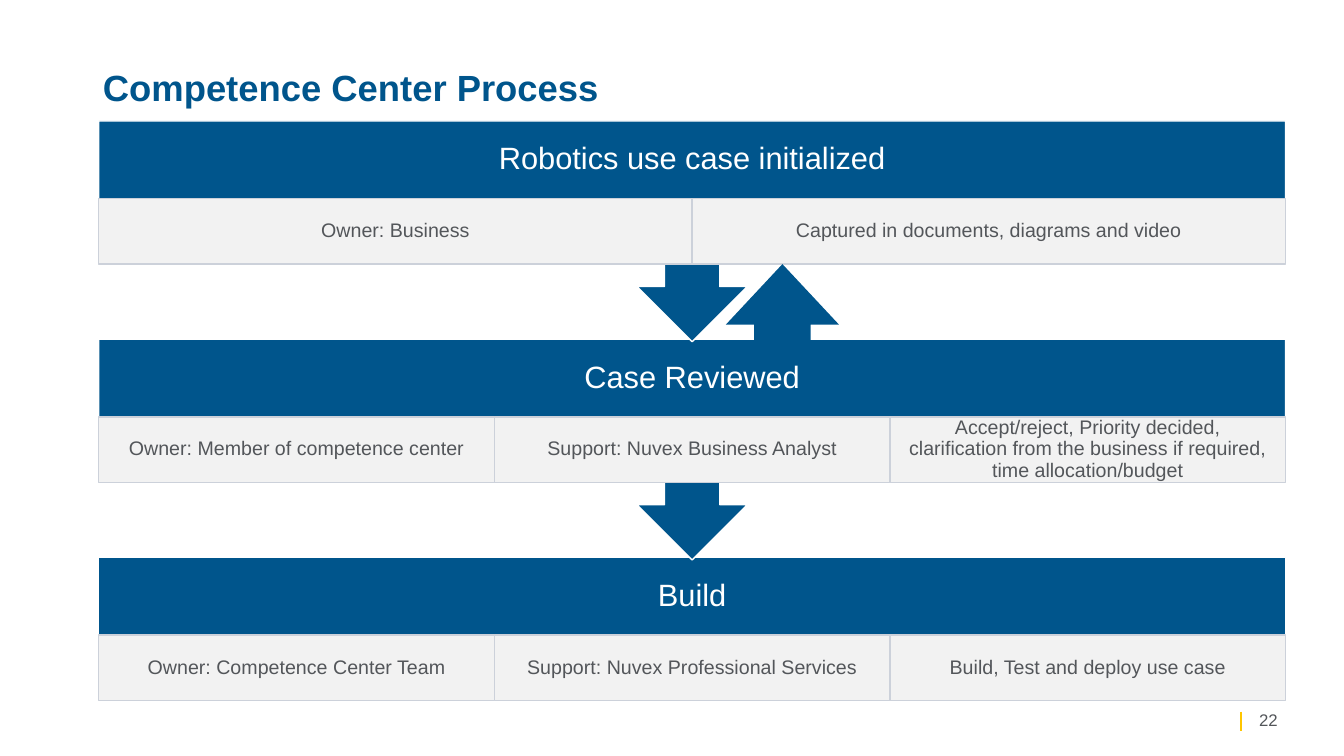
from pptx import Presentation
from pptx.dml.color import RGBColor
from pptx.enum.shapes import MSO_CONNECTOR, MSO_SHAPE
from pptx.enum.text import MSO_ANCHOR, PP_ALIGN
from pptx.oxml.ns import qn
from pptx.util import Inches, Pt
from lxml import etree

BLUE, GRAY, PALE, BORDER = "00558C", "53565A", "F2F2F2", "CCD1DA"
WHITE, YELLOW = "FFFFFF", "FFC600"

LEFT, WIDTH = 0.98, 11.77
FIRST_TOP, STAGE_STEP = 1.2, 2.165
HEADER_HEIGHT, DETAIL_HEIGHT = 0.77, 0.65
BODY_HEIGHT, CALLOUT_HEIGHT = 1.42, 2.19

STAGES = [
    ("Robotics use case initialized",
     ["Owner: Business", "Captured in documents, diagrams and video"]),
    ("Case Reviewed",
     ["Owner: Member of competence center",
      "Support: Nuvex Business Analyst",
      "Accept/reject, Priority decided,\n"
      "clarification from the business if required, time allocation/budget"]),
    ("Build",
     ["Owner: Competence Center Team",
      "Support: Nuvex Professional Services",
      "Build, Test and deploy use case"]),
]


def color(value):
    return RGBColor.from_string(value)


def write(frame, text, size, ink, align=PP_ALIGN.LEFT, anchor=MSO_ANCHOR.MIDDLE,
          insets=(0.1, 0.05, 0.1, 0.05), bold=False):
    """Fill a text frame with one paragraph; a newline becomes a line break."""
    frame.word_wrap = True
    frame.vertical_anchor = anchor
    (frame.margin_left, frame.margin_top,
     frame.margin_right, frame.margin_bottom) = map(Inches, insets)
    para = frame.paragraphs[0]
    para.alignment = align
    para.line_spacing = 0.9
    for index, line in enumerate(text.split("\n")):
        if index:
            para.add_line_break()
        span = para.add_run()
        span.text = line
        span.font.name = "Arial"
        span.font.size = Pt(size)
        span.font.bold = bold
        span.font.color.rgb = color(ink)


def add_block(slide, kind, left, top, width, height, fill, line=None):
    block = slide.shapes.add_shape(
        kind, Inches(left), Inches(top), Inches(width), Inches(height))
    block.shadow.inherit = False
    block.fill.solid()
    block.fill.fore_color.rgb = color(fill)
    if line:
        block.line.color.rgb = color(line)
        block.line.width = Pt(1)
    else:
        block.line.fill.background()
    return block


def add_stage(slide, top, heading, details, is_last):
    """Draw a blue heading block, with a down arrow unless last, and its details."""
    kind = MSO_SHAPE.RECTANGLE if is_last else MSO_SHAPE.DOWN_ARROW_CALLOUT
    height = BODY_HEIGHT if is_last else CALLOUT_HEIGHT
    block = add_block(slide, kind, LEFT, top, WIDTH, height, BLUE, WHITE)
    write(block.text_frame, heading, 22, WHITE, PP_ALIGN.CENTER,
          insets=(0.17, 0, 0.17, DETAIL_HEIGHT))
    cell_width = WIDTH / len(details)
    for column, detail in enumerate(details):
        cell = add_block(slide, MSO_SHAPE.RECTANGLE, LEFT + column * cell_width,
                         top + HEADER_HEIGHT, cell_width, DETAIL_HEIGHT, PALE, BORDER)
        write(cell.text_frame, detail, 14, GRAY, PP_ALIGN.CENTER,
              insets=(0.11, 0.02, 0.11, 0.02))


def add_title(slide, text):
    title = slide.shapes.title
    title.left, title.top = Inches(0.92), Inches(0.65)
    title.width, title.height = Inches(11.84), Inches(1.06)
    write(title.text_frame, text, 26, BLUE, anchor=MSO_ANCHOR.TOP, bold=True)


def add_page_number(slide, number):
    rule = slide.shapes.add_connector(MSO_CONNECTOR.STRAIGHT, Inches(12.31),
                                      Inches(7.06), Inches(12.31), Inches(7.25))
    rule.line.color.rgb = color(YELLOW)
    rule.line.width = Pt(1)
    etree.SubElement(rule.element.spPr, qn("a:effectLst"))
    box = slide.shapes.add_textbox(Inches(12.39), Inches(6.95), Inches(0.67), Inches(0.4))
    write(box.text_frame, number, 12, GRAY)


def add_return_arrow(slide):
    arrow = add_block(slide, MSO_SHAPE.UP_ARROW, 7.2, 2.62, 1.12, 0.81, BLUE)
    arrow.adjustments[0] = 0.5
    arrow.adjustments[1] = 0.74


def main():
    deck = Presentation()
    deck.slide_width, deck.slide_height = Inches(13.33), Inches(7.5)
    slide = deck.slides.add_slide(deck.slide_layouts[5])
    add_title(slide, "Competence Center Process")
    add_page_number(slide, "22")
    last = len(STAGES) - 1
    # Later stages go behind, so each arrow tip lies over the next heading.
    for index in range(last, -1, -1):
        heading, details = STAGES[index]
        add_stage(slide, FIRST_TOP + index * STAGE_STEP, heading, details, index == last)
    add_return_arrow(slide)
    deck.save("out.pptx")


if __name__ == "__main__":
    main()
